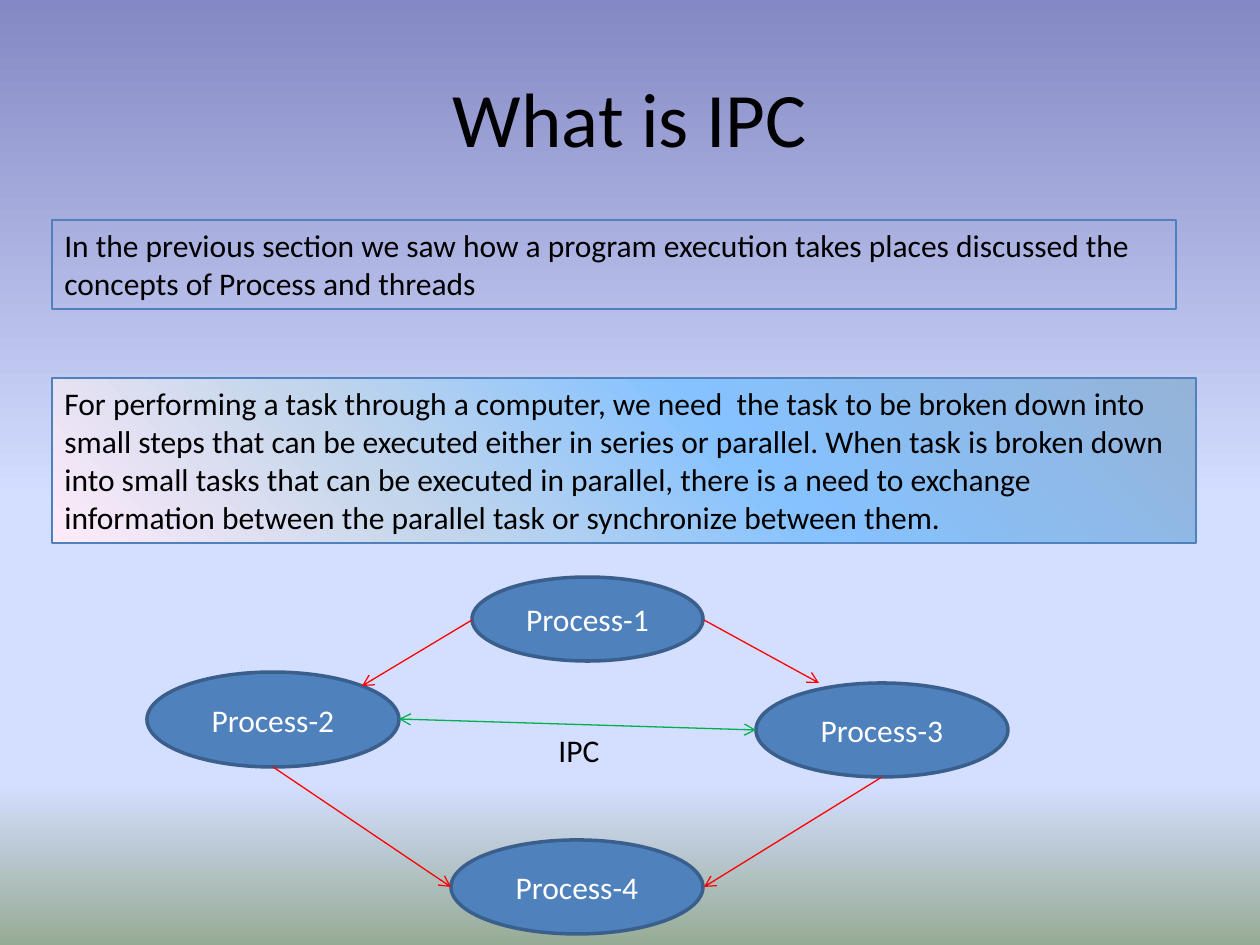
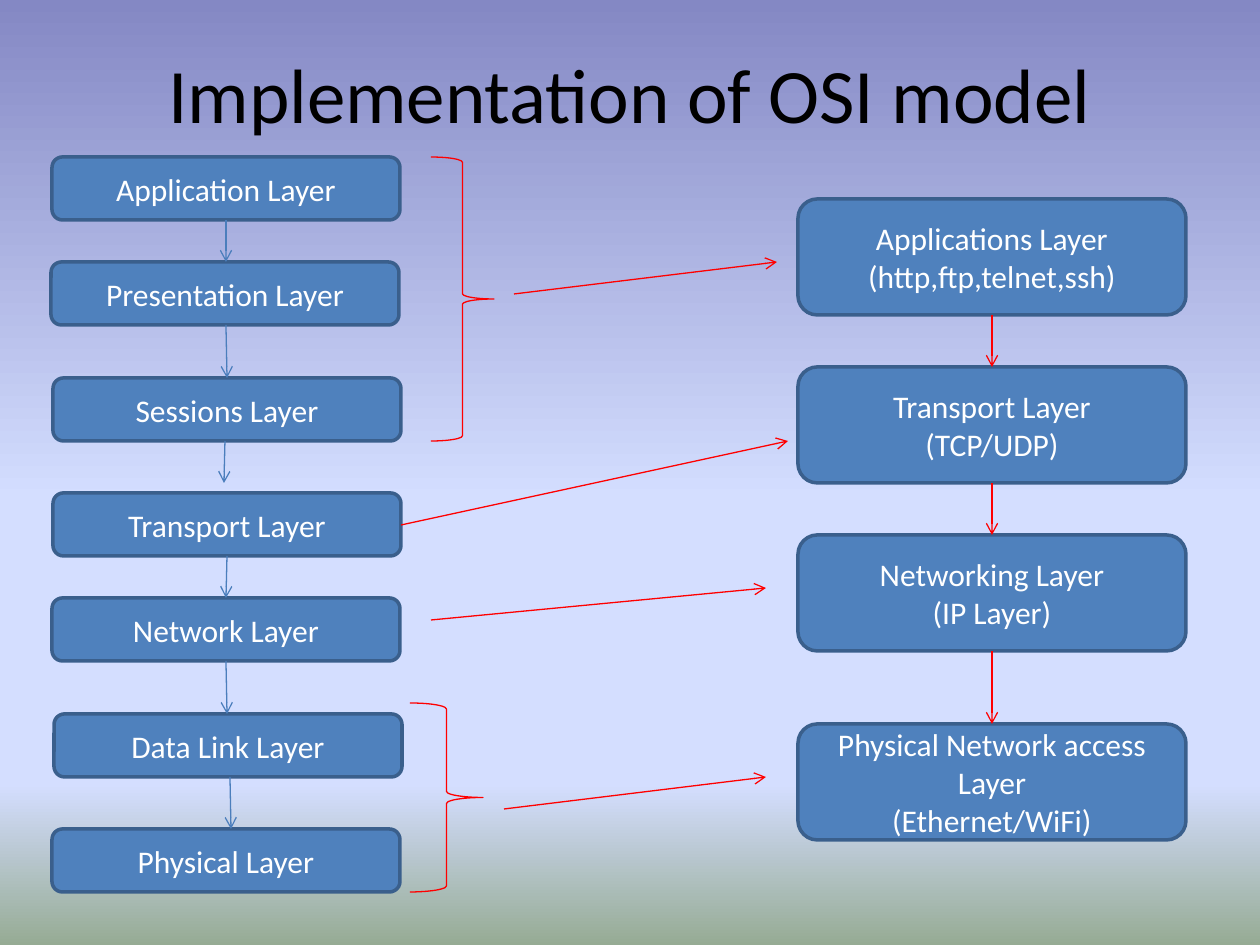
"""Build two slides on inter-process communication and the OSI model."""
from dataclasses import dataclass
from itertools import pairwise

from lxml.etree import SubElement
from pptx import Presentation
from pptx.dml.color import RGBColor
from pptx.dml.fill import FillFormat
from pptx.enum.shapes import MSO_CONNECTOR, MSO_SHAPE
from pptx.enum.text import MSO_ANCHOR, MSO_AUTO_SIZE, PP_ALIGN
from pptx.oxml.ns import qn
from pptx.presentation import Presentation as Deck
from pptx.shapes.autoshape import Shape
from pptx.slide import Slide
from pptx.text.text import TextFrame
from pptx.util import Emu, Pt

PX_PER_INCH = 126
FONT = "Calibri"
COLORS = {
    "text": "000000",
    "light": "FFFFFF",
    "node": "4F81BD",
    "edge": "3A5F8C",
    "step": "4B7EBC",
    "flow": "FF0000",
    "exchange": "00B050",
}
SKY = [(0, "8488C4"), (53, "D4DEFF"), (83, "D4DEFF"), (100, "96AB94")]
GLOW = [(0, "95B3D7"), (40, "85C2FF"), (70, "C4D6EB"), (100, "FFEBFA")]


@dataclass(frozen=True)
class Area:
    """A rectangle in px."""

    left: int
    top: int
    width: int
    height: int

    @property
    def bottom(self) -> int:
        return self.top + self.height

    def emu(self) -> tuple[Emu, ...]:
        return tuple(px(n) for n in (self.left, self.top, self.width, self.height))


@dataclass(frozen=True)
class Node:
    """A filled shape with centred lines of text."""

    lines: tuple[str, ...]
    area: Area


@dataclass(frozen=True)
class Arrow:
    """A straight arrow between two points in px."""

    start: tuple[int, int]
    end: tuple[int, int]
    color: str = "flow"
    both_ways: bool = False


PROCESSES = [
    Node(("Process-1",), Area(472, 577, 231, 84)),
    Node(("Process-2",), Area(147, 672, 252, 95)),
    Node(("Process-3",), Area(756, 683, 252, 94)),
    Node(("Process-4",), Area(451, 840, 252, 94)),
]
PROCESS_ARROWS = [
    Arrow((472, 620), (362, 686)),
    Arrow((704, 620), (819, 683)),
    Arrow((273, 767), (451, 887)),
    Arrow((882, 777), (704, 887)),
    Arrow((399, 719), (756, 730), "exchange", True),
]
OSI_LAYERS = [
    Node((name,), Area(left, top, 348, 63))
    for name, left, top in [
        ("Application Layer", 52, 157),
        ("Presentation Layer", 51, 262),
        ("Sessions Layer", 53, 378),
        ("Transport Layer", 53, 493),
        ("Network Layer", 52, 598),
        ("Data Link Layer", 54, 714),
        ("Physical Layer", 52, 829),
    ]
]
STEP_ARROWS = [
    Arrow((226, 220), (226, 262), "step"),
    Arrow((226, 325), (227, 378), "step"),
    Arrow((225, 441), (224, 483), "step"),
    Arrow((227, 556), (226, 598), "step"),
    Arrow((226, 661), (227, 714), "step"),
    Arrow((230, 777), (231, 829), "step"),
]
TCP_LAYERS = [
    Node(lines, Area(798, top, 388, 116))
    for top, lines in [
        (199, ("Applications Layer", "(http,ftp,telnet,ssh)")),
        (367, ("Transport Layer", "(TCP/UDP)")),
        (535, ("Networking Layer", "(IP Layer)")),
        (724, ("Physical Network access Layer", "(Ethernet/WiFi)")),
    ]
]
TCP_CENTRE = 992
BRACES = [Area(431, 157, 63, 284), Area(410, 703, 73, 189)]
MAPPING_ARROWS = [
    Arrow((514, 294), (777, 262)),
    Arrow((401, 525), (788, 441)),
    Arrow((431, 620), (766, 588)),
    Arrow((504, 809), (766, 777)),
]


def px(length: float) -> Emu:
    """Turn px into EMU."""
    return Emu(round(length * 914400 / PX_PER_INCH))


def rgb(name: str) -> RGBColor:
    """Look up a named colour."""
    return RGBColor.from_string(COLORS[name])


def set_gradient(fill: FillFormat, element, stops: list[tuple[int, str]], clockwise: int) -> None:
    """Give a fill a linear gradient with any number of stops."""
    fill.gradient()
    fill.gradient_angle = 360 - clockwise
    stop_list = next(element.iter(qn("a:gsLst")))
    for old_stop in list(stop_list):
        stop_list.remove(old_stop)
    for percent, color in stops:
        stop = SubElement(stop_list, qn("a:gs"), pos=str(percent * 1000))
        SubElement(stop, qn("a:srgbClr"), val=color)


def write(frame: TextFrame, lines: tuple[str, ...], color: str, size: int = 18,
          align: PP_ALIGN = PP_ALIGN.CENTER) -> None:
    """Write one paragraph per line."""
    for index, line in enumerate(lines):
        para = frame.add_paragraph() if index else frame.paragraphs[0]
        para.alignment = align
        span = para.add_run()
        span.text = line
        span.font.name = FONT
        span.font.size = Pt(size)
        span.font.color.rgb = rgb(color)


def add_outline(page: Slide, kind: MSO_SHAPE, area: Area, color: str, weight: float) -> Shape:
    """Add an unfilled shape with a coloured line."""
    shape = page.shapes.add_shape(kind, *area.emu())
    shape.shadow.inherit = False
    shape.fill.background()
    shape.line.color.rgb = rgb(color)
    shape.line.width = Pt(weight)
    return shape


def add_node(page: Slide, kind: MSO_SHAPE, node: Node) -> None:
    """Add a blue shape with its label."""
    shape = add_outline(page, kind, node.area, "edge", 2)
    shape.fill.solid()
    shape.fill.fore_color.rgb = rgb("node")
    shape.text_frame.word_wrap = True
    shape.text_frame.vertical_anchor = MSO_ANCHOR.MIDDLE
    write(shape.text_frame, node.lines, "light")


def add_statement(page: Slide, area: Area, text: str) -> Shape:
    """Add a framed paragraph."""
    box = add_outline(page, MSO_SHAPE.RECTANGLE, area, "node", 0.75)
    frame = box.text_frame
    frame.word_wrap = True
    frame.auto_size = MSO_AUTO_SIZE.SHAPE_TO_FIT_TEXT
    frame.vertical_anchor = MSO_ANCHOR.TOP
    write(frame, (text,), "text", align=PP_ALIGN.LEFT)
    return box


def add_arrow(page: Slide, arrow: Arrow) -> None:
    """Add a connector with open arrowheads."""
    points = (px(n) for n in (*arrow.start, *arrow.end))
    connector = page.shapes.add_connector(MSO_CONNECTOR.STRAIGHT, *points)
    connector.line.color.rgb = rgb(arrow.color)
    connector.line.width = Pt(0.75)
    line = connector.line._get_or_add_ln()
    if arrow.both_ways:
        SubElement(line, qn("a:headEnd"), type="arrow")
    SubElement(line, qn("a:tailEnd"), type="arrow")
    SubElement(connector._element.spPr, qn("a:effectLst"))


def add_page(deck: Deck, title: str, title_height: int) -> Slide:
    """Add a slide with its title."""
    page = deck.slides.add_slide(deck.slide_layouts[5])
    box = page.shapes.title
    box.left, box.top, box.width, box.height = Area(63, 38, 1134, title_height).emu()
    box.text_frame.vertical_anchor = MSO_ANCHOR.MIDDLE
    write(box.text_frame, (title,), "text", 44)
    return page


def build_ipc(deck: Deck) -> None:
    """Build the slide that explains IPC."""
    page = add_page(deck, "What is IPC", 157)
    add_statement(page, Area(52, 220, 1124, 89),
                  "In the previous section we saw how a program execution takes places "
                  "discussed the concepts of Process and threads")
    need = add_statement(page, Area(52, 378, 1144, 165),
                         "For performing a task through a computer, we need  the task to be "
                         "broken down into small steps that can be executed either in series or "
                         "parallel. When task is broken down into small tasks that can be executed "
                         "in parallel, there is a need to exchange information between the "
                         "parallel task or synchronize between them.")
    set_gradient(need.fill, need._element, GLOW, 135)
    for process in PROCESSES:
        add_node(page, MSO_SHAPE.OVAL, process)
    for arrow in PROCESS_ARROWS:
        add_arrow(page, arrow)
    label = page.shapes.add_textbox(*Area(546, 725, 67, 50).emu())
    label.text_frame.word_wrap = False
    label.text_frame.auto_size = MSO_AUTO_SIZE.SHAPE_TO_FIT_TEXT
    write(label.text_frame, ("IPC",), "text", align=PP_ALIGN.LEFT)


def build_osi(deck: Deck) -> None:
    """Build the slide that maps the OSI layers."""
    page = add_page(deck, "Implementation of OSI model", 110)
    for layer in TCP_LAYERS + OSI_LAYERS:
        add_node(page, MSO_SHAPE.ROUNDED_RECTANGLE, layer)
    tcp_arrows = [
        Arrow((TCP_CENTRE, upper.area.bottom), (TCP_CENTRE, lower.area.top))
        for upper, lower in pairwise(TCP_LAYERS)
    ]
    for arrow in tcp_arrows + STEP_ARROWS + MAPPING_ARROWS:
        add_arrow(page, arrow)
    for area in BRACES:
        add_outline(page, MSO_SHAPE.RIGHT_BRACE, area, "flow", 0.75)


def main() -> None:
    """Build and save the deck."""
    deck = Presentation()
    deck.slide_width, deck.slide_height = px(1260), px(945)
    master = deck.slide_master
    set_gradient(master.background.fill, master._element, SKY, 90)
    build_ipc(deck)
    build_osi(deck)
    deck.save("out.pptx")


if __name__ == "__main__":
    main()
